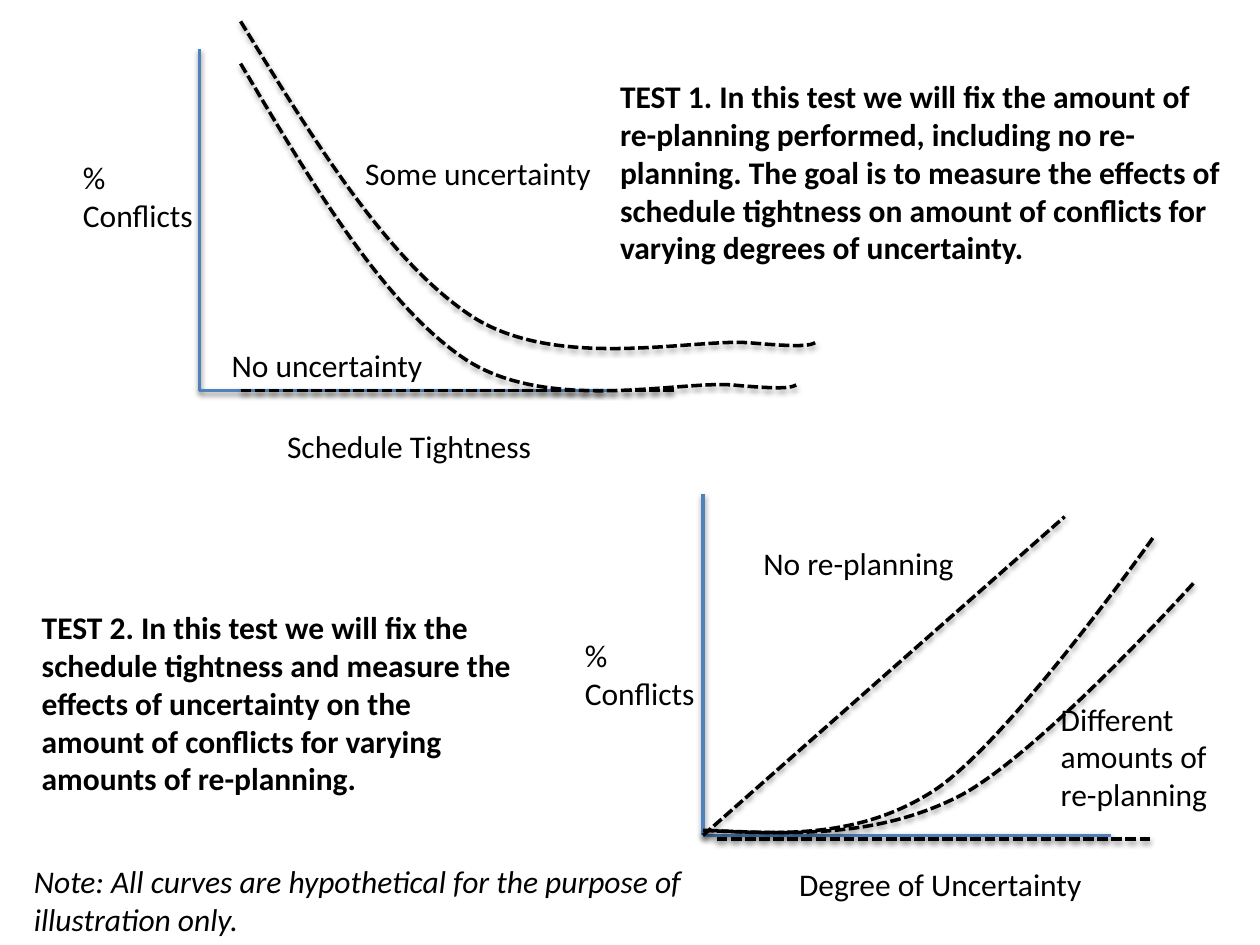
"""Build a slide with two hypothetical conflict charts and their test descriptions."""
from dataclasses import dataclass

from lxml import etree
from pptx import Presentation
from pptx.dml.color import RGBColor
from pptx.enum.dml import MSO_LINE
from pptx.enum.shapes import MSO_CONNECTOR
from pptx.enum.text import MSO_AUTO_SIZE
from pptx.oxml.ns import qn
from pptx.util import Inches, Pt

STRAIGHT = MSO_CONNECTOR.STRAIGHT
DASH = MSO_LINE.SQUARE_DOT
FIT_TEXT = MSO_AUTO_SIZE.SHAPE_TO_FIT_TEXT


@dataclass(frozen=True)
class Theme:
    font: str = "Calibri"
    text_size: int = 18
    line_width: int = 2
    ink: str = "000000"
    axis: str = "4F81BD"


THEME = Theme()
SLIDE_WIDTH, SLIDE_HEIGHT = Inches(10), Inches(7.5)
COLUMNS = 100
CELL = SLIDE_WIDTH / COLUMNS

AXIS_WIDTH, AXIS_HEIGHT = 32.4, 27.1
CONFLICTS = ["%", "Conflicts"]

SOME_UNCERTAINTY = [
    (19.1, 1.7), (25, 11.3), (30.9, 20.9), (37.6, 25.2), (44.3, 29.4),
    (54.9, 26.9), (59.4, 27.2), (63.9, 27.6), (64.3, 27.4), (64.7, 27.2),
]
CURVE_START = SOME_UNCERTAINTY[0][0]
LOWER_SCALE, LOWER_DROP = 0.967, 3.35
LOWER_CURVE = [
    (CURVE_START + (x - CURVE_START) * LOWER_SCALE, y + LOWER_DROP)
    for x, y in SOME_UNCERTAINTY
]
SOME_REPLANNING = [
    (55.8, 65.9), (62, 66.2), (68.2, 66.6), (74.2, 62.7),
    (80.1, 58.8), (91.5, 42.7), (91.5, 42.7),
]
MORE_REPLANNING = [
    (56.2, 65.9), (62.9, 66.2), (69.6, 66.5), (76.1, 63.2),
    (82.5, 59.9), (94.8, 46.2), (94.8, 46.2),
]

PARTS = [
    ("axes", (15.83, 31)),
    ("axes", (55.8, 66.3)),
    ("label", (5.6, 12.07, 11.2, 7.1), CONFLICTS),
    ("label", (45.43, 49.97, 11.2, 7.1), CONFLICTS),
    ("label", (21.8, 33.4, 21.7, 4), ["Schedule Tightness"]),
    ("label", (62.43, 68.2, 24.8, 4), ["Degree of Uncertainty"]),
    ("curve", SOME_UNCERTAINTY, 26),
    ("dashes", (55.8, 66.3), (84.5, 41)),
    ("curve", MORE_REPLANNING, 19.9),
    ("label", (59.6, 42.7, 17.3, 4), ["No re-planning"]),
    ("curve", SOME_REPLANNING, 23.4),
    ("dashes", (19.1, 31), (53.7, 31)),
    ("passage", (83.2, 55.03, 16.8, 10.1), "Different amounts of re-planning"),
    ("label", (17.4, 27, 17.4, 4), ["No uncertainty"]),
    ("label", (28, 11.7, 20.2, 4), ["Some uncertainty"]),
    ("curve", LOWER_CURVE, 26),
    ("passage", (48.23, 5.63, 50.4, 16.2),
     "TEST 1. In this test we will fix the amount of re-planning performed, "
     "including no re-planning. The goal is to measure the effects of schedule "
     "tightness on amount of conflicts for varying degrees of uncertainty.",
     "bold"),
    ("dashes", (56.9, 66.6), (91.5, 66.6)),
    ("passage", (2.33, 47.77, 40, 16.2),
     "TEST 2. In this test we will fix the schedule tightness and measure the "
     "effects of uncertainty on the amount of conflicts for varying amounts of "
     "re-planning.",
     "bold"),
    ("passage", (1.7, 67.9, 58.5, 7.1),
     "Note: All curves are hypothetical for the purpose of illustration only.",
     "italic"),
]


def grid(*lengths):
    return [round(length * CELL) for length in lengths]


def style_line(shape, color, dashed):
    shape.line.color.rgb = RGBColor.from_string(color)
    shape.line.width = Pt(THEME.line_width)
    if dashed:
        shape.line.dash_style = DASH
    effects = etree.SubElement(shape._element.spPr, qn("a:effectLst"))
    shadow = etree.SubElement(
        effects, qn("a:outerShdw"), blurRad=str(Pt(3.1)), dist=str(Pt(1.6)),
        dir="5400000", rotWithShape="0")
    shade = etree.SubElement(shadow, qn("a:srgbClr"), val=THEME.ink)
    etree.SubElement(shade, qn("a:alpha"), val="38000")


def add_line(slide, start, end, color=THEME.ink, dashed=True):
    connector = slide.shapes.add_connector(STRAIGHT, *grid(*start, *end))
    style_line(connector, color, dashed)


def add_axes(slide, origin):
    x, y = origin
    add_line(slide, (x, y - AXIS_HEIGHT), origin, THEME.axis, False)
    add_line(slide, origin, (x + AXIS_WIDTH, y), THEME.axis, False)


def add_curve(slide, controls, height):
    points = [grid(*control) for control in controls]
    builder = slide.shapes.build_freeform(*points[0])
    builder.add_line_segments(points[3::3], close=False)
    curve = builder.convert_to_shape()
    outline = curve._element.spPr.find(".//" + qn("a:path"))
    for index, segment in enumerate(outline.findall(qn("a:lnTo"))):
        segment.tag = qn("a:cubicBezTo")
        segment.clear()
        for x, y in points[3 * index + 1:3 * index + 4]:
            etree.SubElement(segment, qn("a:pt"),
                             x=str(x - curve.left), y=str(y - curve.top))
    curve.height = grid(height)[0]
    outline.set("h", str(curve.height))
    curve.fill.background()
    style_line(curve, THEME.ink, True)


def add_text(slide, box, lines, wrap=False, emphasis=None):
    frame = slide.shapes.add_textbox(*grid(*box)).text_frame
    frame.word_wrap = wrap
    frame.auto_size = FIT_TEXT
    for index, line in enumerate(lines):
        paragraph = frame.add_paragraph() if index else frame.paragraphs[0]
        run = paragraph.add_run()
        run.text = line
        font = run.font
        font.name, font.size = THEME.font, Pt(THEME.text_size)
        font.bold, font.italic = emphasis == "bold", emphasis == "italic"
        font.color.rgb = RGBColor.from_string(THEME.ink)


def add_passage(slide, box, passage, emphasis=None):
    add_text(slide, box, [passage], True, emphasis)


def main():
    presentation = Presentation()
    presentation.slide_width, presentation.slide_height = SLIDE_WIDTH, SLIDE_HEIGHT
    slide = presentation.slides.add_slide(presentation.slide_layouts[6])
    builders = {"axes": add_axes, "dashes": add_line, "curve": add_curve,
                "label": add_text, "passage": add_passage}
    for kind, *details in PARTS:
        builders[kind](slide, *details)
    presentation.save("out.pptx")


if __name__ == "__main__":
    main()
